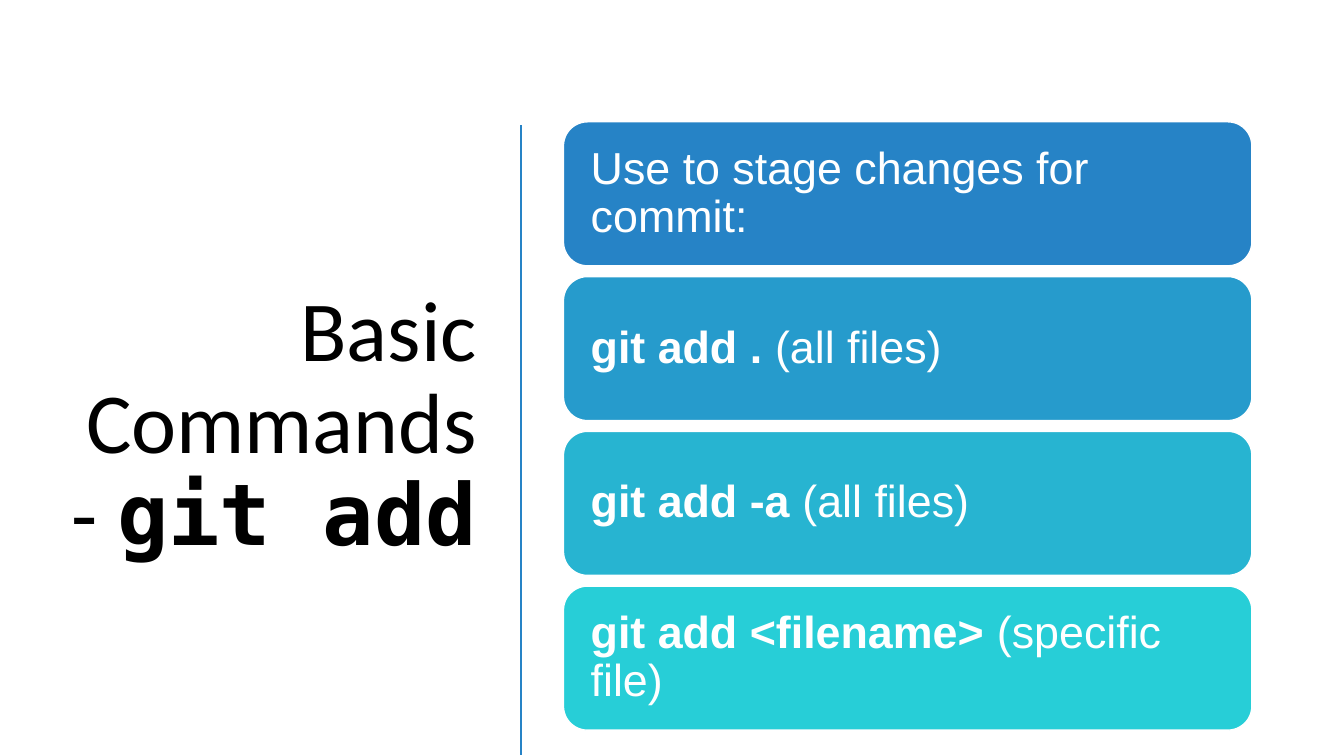
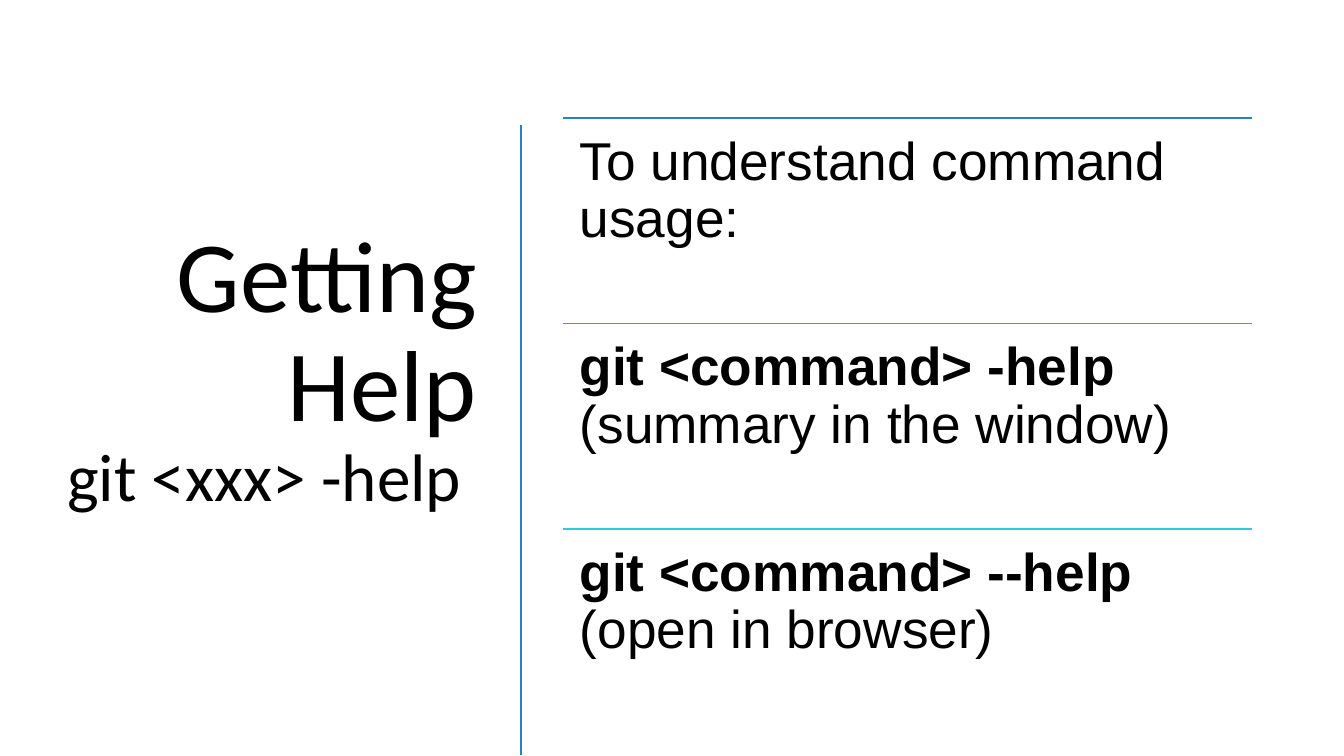
from dataclasses import dataclass

from lxml import etree
from pptx import Presentation
from pptx.dml.color import RGBColor
from pptx.enum.shapes import MSO_CONNECTOR, MSO_SHAPE
from pptx.enum.text import MSO_ANCHOR, MSO_AUTO_SIZE, PP_ALIGN
from pptx.oxml.ns import qn
from pptx.slide import Slide
from pptx.text.text import TextFrame
from pptx.util import Cm, Pt

LEFT, RIGHT = PP_ALIGN.LEFT, PP_ALIGN.RIGHT
TOP, MIDDLE = MSO_ANCHOR.TOP, MSO_ANCHOR.MIDDLE
STRAIGHT = MSO_CONNECTOR.STRAIGHT
ROUNDED = MSO_SHAPE.ROUNDED_RECTANGLE
NO_FIT = MSO_AUTO_SIZE.NONE
TITLE_ONLY = 5

COLORS = {
    "text": "000000",
    "white": "FFFFFF",
    "blue": "2683C6",
    "azure": "269BCC",
    "sky": "27A7CE",
    "cyan": "27B4D1",
    "turquoise": "27CED7",
}
TITLE_FONT, BODY_FONT, CODE_FONT = "Calibri", "Arial", "DejaVu Sans Mono"

# Centimetres
SLIDE_W, SLIDE_H = 33.87, 19.05
DIVIDER_X, DIVIDER_TOP, DIVIDER_BOTTOM = 13.13, 3.15, 19.02
LIST_X, LIST_W = 14.2, 17.35
CARD_TOP, CARD_H, CARD_PITCH, CARD_INSET = 3.07, 3.63, 3.9, 0.51
RULE_TOP, RULE_PITCH, RULE_INSET = 2.97, 5.18, 0.41


@dataclass
class Span:
    text: str
    size: float
    font: str = BODY_FONT
    bold: bool = False


@dataclass
class Item:
    color: str
    command: str
    note: str

    def spans(self, size: float) -> list[Span]:
        parts = [Span(self.command, size, bold=True), Span(self.note, size)]
        return [part for part in parts if part.text]


ADD_TITLE = [[
    Span("Basic Commands - ", 61, TITLE_FONT),
    Span("git add ", 61, CODE_FONT, True),
]]
ADD_ITEMS = [
    Item("blue", "", "Use to stage changes for commit:"),
    Item("azure", "git add .", " (all files)"),
    Item("cyan", "git add -a", " (all files)"),
    Item("turquoise", "git add <filename>", " (specific file)"),
]
HELP_TITLE = [
    [Span("Getting Help", 72, TITLE_FONT)],
    [Span("git <xxx> -help ", 48, TITLE_FONT)],
]
HELP_ITEMS = [
    Item("blue", "", "To understand command usage:"),
    Item("sky", "git <command> -help", " (summary in the window)"),
    Item("turquoise", "git <command> --help", " (open in browser)"),
]


def rgb(name: str) -> RGBColor:
    return RGBColor.from_string(COLORS[name])


def write(tf: TextFrame, paragraphs: list[list[Span]], color: str,
          align: PP_ALIGN, anchor: MSO_ANCHOR) -> None:
    tf.word_wrap = True
    tf.auto_size = NO_FIT
    tf.vertical_anchor = anchor
    for i, spans in enumerate(paragraphs):
        p = tf.add_paragraph() if i else tf.paragraphs[0]
        p.alignment = align
        p.line_spacing = 0.9
        for span in spans:
            r = p.add_run()
            r.text = span.text
            r.font.name = span.font
            r.font.size = Pt(span.size)
            r.font.bold = span.bold
            r.font.color.rgb = rgb(color)


def set_insets(tf: TextFrame, inset: float) -> None:
    tf.margin_left = tf.margin_right = Cm(inset)
    tf.margin_top = tf.margin_bottom = Cm(inset)


def add_line(s: Slide, x1: float, y1: float, x2: float, y2: float,
             color: str, width: float) -> None:
    line = s.shapes.add_connector(STRAIGHT, Cm(x1), Cm(y1), Cm(x2), Cm(y2))
    line.line.color.rgb = rgb(color)
    line.line.width = Pt(width)
    etree.SubElement(line._element.spPr, qn("a:effectLst"))


def add_titled_slide(prs: Presentation, title: list[list[Span]],
                     lift: float = 0.13) -> Slide:
    """Add a slide with its title and divider; lift is the title's bottom inset."""
    s = prs.slides.add_slide(prs.slide_layouts[TITLE_ONLY])
    sp = s.shapes.title
    sp.left, sp.top, sp.width, sp.height = Cm(1.32), Cm(2.97), Cm(10.95), Cm(15.52)
    write(sp.text_frame, title, "text", RIGHT, MIDDLE)
    sp.text_frame.margin_bottom = Cm(lift)
    add_line(s, DIVIDER_X, DIVIDER_TOP, DIVIDER_X, DIVIDER_BOTTOM, "blue", 2)
    return s


def add_cards(s: Slide, items: list[Item]) -> None:
    for i, item in enumerate(items):
        sp = s.shapes.add_shape(ROUNDED, Cm(LIST_X), Cm(CARD_TOP + i * CARD_PITCH),
                                Cm(LIST_W), Cm(CARD_H))
        sp.shadow.inherit = False
        sp.fill.solid()
        sp.fill.fore_color.rgb = rgb(item.color)
        sp.line.color.rgb = rgb("white")
        sp.line.width = Pt(1)
        set_insets(sp.text_frame, CARD_INSET)
        write(sp.text_frame, [item.spans(32)], "white", LEFT, MIDDLE)


def add_ruled_list(s: Slide, items: list[Item]) -> None:
    for i, item in enumerate(items):
        y = RULE_TOP + i * RULE_PITCH
        add_line(s, LIST_X, y, LIST_X + LIST_W, y, item.color, 1)
        sp = s.shapes.add_textbox(Cm(LIST_X), Cm(y), Cm(LIST_W), Cm(RULE_PITCH))
        set_insets(sp.text_frame, RULE_INSET)
        write(sp.text_frame, [item.spans(38)], "text", LEFT, TOP)


def main() -> None:
    prs = Presentation()
    prs.slide_width, prs.slide_height = Cm(SLIDE_W), Cm(SLIDE_H)
    add_cards(add_titled_slide(prs, ADD_TITLE), ADD_ITEMS)
    add_ruled_list(add_titled_slide(prs, HELP_TITLE, lift=2.9), HELP_ITEMS)
    prs.save("out.pptx")


if __name__ == "__main__":
    main()
